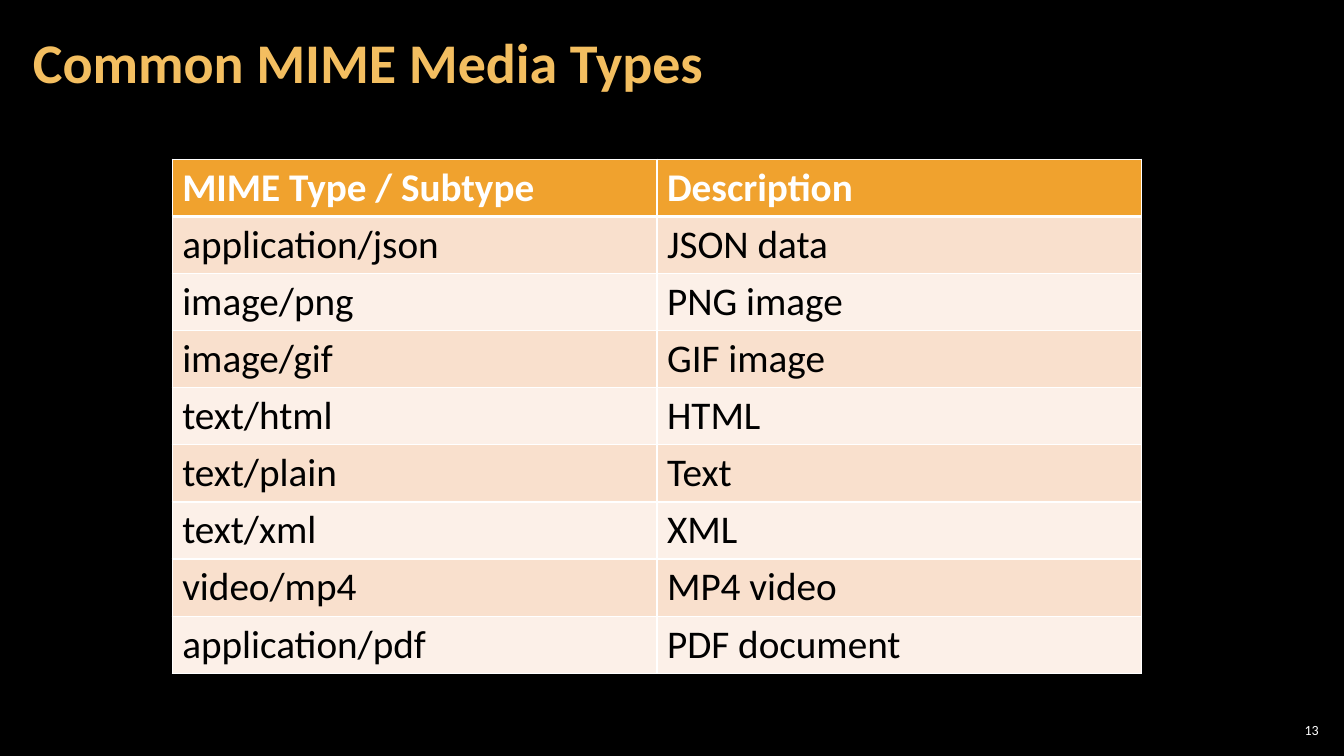
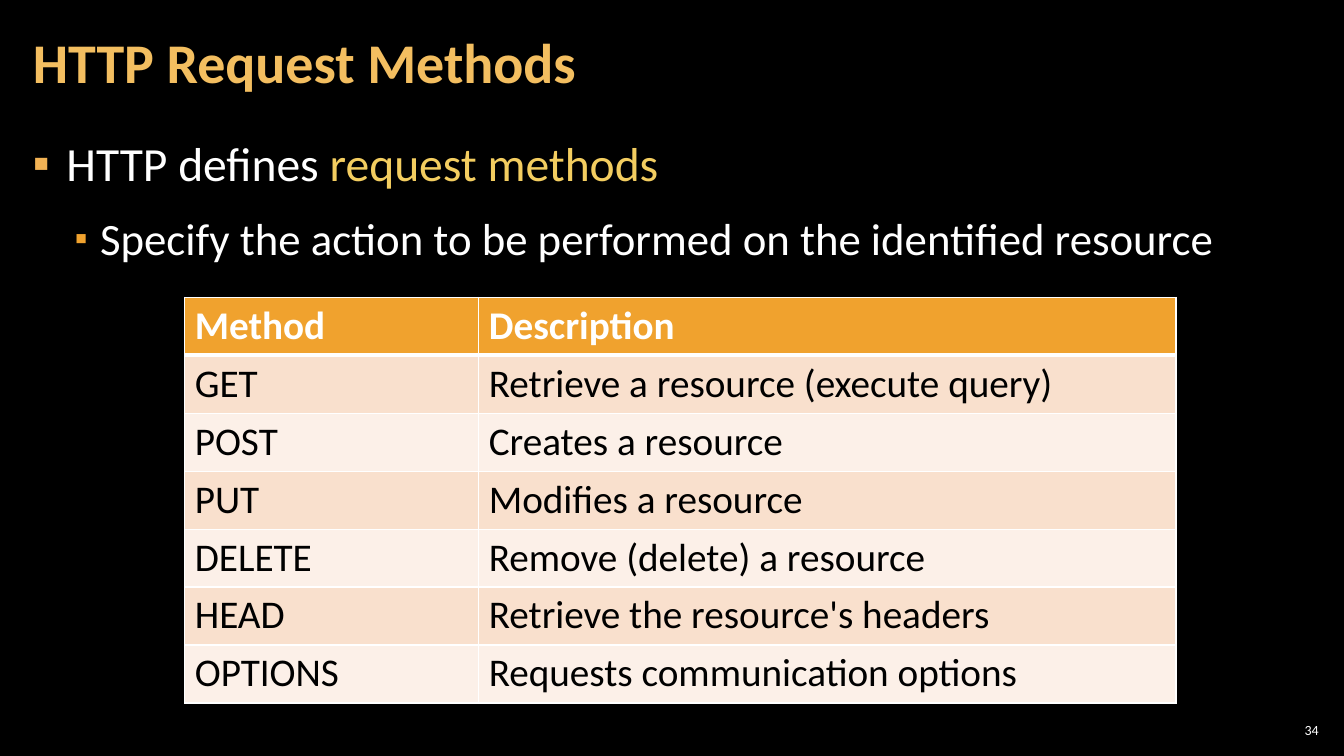
from lxml.etree import SubElement
from pptx import Presentation
from pptx.dml.color import RGBColor
from pptx.enum.text import MSO_ANCHOR, PP_ALIGN
from pptx.oxml.ns import qn
from pptx.util import Pt

BLACK = RGBColor(0x00, 0x00, 0x00)
WHITE = RGBColor(0xFF, 0xFF, 0xFF)
GOLD = RGBColor(0xF3, 0xBE, 0x60)
YELLOW = RGBColor(0xF3, 0xCD, 0x60)
AMBER = RGBColor(0xF2, 0xB2, 0x54)
ORANGE = RGBColor(0xF0, 0xA2, 0x2E)
BANDS = RGBColor(0xF9, 0xE0, 0xCD), RGBColor(0xFC, 0xF0, 0xE8)
FONT = "Calibri"
WIDTH, HEIGHT = 960, 540
LEFT = 15

TYPES = [
    ("MIME Type / Subtype", "Description"),
    ("application/json", "JSON data"),
    ("image/png", "PNG image"),
    ("image/gif", "GIF image"),
    ("text/html", "HTML"),
    ("text/plain", "Text"),
    ("text/xml", "XML"),
    ("video/mp4", "MP4 video"),
    ("application/pdf", "PDF document"),
]
METHODS = [
    ("Method", "Description"),
    ("GET", "Retrieve a resource (execute query)"),
    ("POST", "Creates a resource"),
    ("PUT", "Modifies a resource"),
    ("DELETE", "Remove (delete) a resource"),
    ("HEAD", "Retrieve the resource's headers"),
    ("OPTIONS", "Requests communication options"),
]


def write(para, text, size, color=WHITE, bold=False):
    run = para.add_run()
    run.text = text
    font = run.font
    font.name, font.size, font.bold = FONT, Pt(size), bold
    font.color.rgb = color


def add_box(slide, box, pad, anchor=MSO_ANCHOR.TOP):
    """Add a wrapping text box; pad is its side and top inset."""
    frame = slide.shapes.add_textbox(*map(Pt, box)).text_frame
    frame.word_wrap = True
    frame.vertical_anchor = anchor
    frame.margin_left = frame.margin_right = Pt(pad[0])
    frame.margin_top = frame.margin_bottom = Pt(pad[1])
    return frame


def add_slide(deck, title, number):
    """Add a slide with the shared background, title and page number."""
    slide = deck.slides.add_slide(deck.slide_layouts[6])
    fill = slide.background.fill
    fill.solid()
    fill.fore_color.rgb = BLACK
    frame = add_box(slide, (LEFT, 3, 754, 87), (8.5, 3), MSO_ANCHOR.MIDDLE)
    para = frame.paragraphs[0]
    para.line_spacing = 0.9
    write(para, title, 40, GOLD, True)
    frame = add_box(slide, (911, 514, 34, 15), (3, 3), MSO_ANCHOR.MIDDLE)
    para = frame.paragraphs[0]
    para.alignment = PP_ALIGN.RIGHT
    write(para, str(number), 10)
    return slide


def set_bullet(para, color, margin, hang, scale=100):
    props = para._p.get_or_add_pPr()
    props.set("marL", str(Pt(margin)))
    props.set("indent", str(-Pt(hang)))
    tint = SubElement(props, qn("a:buClr"))
    SubElement(tint, qn("a:srgbClr"), val=str(color))
    SubElement(props, qn("a:buSzPct"), val=str(scale * 1000))
    SubElement(props, qn("a:buFont"), typeface=FONT)
    SubElement(props, qn("a:buChar"), char="▪")


def add_body(slide, box):
    frame = add_box(slide, box, (8.5, 3))
    point = frame.paragraphs[0]
    set_bullet(point, AMBER, 24, 24)
    write(point, "HTTP defines ", 34)
    write(point, "request methods", 34, YELLOW)
    detail = frame.add_paragraph()
    detail.level = 1
    set_bullet(detail, ORANGE, 48, 18, 80)
    detail.space_before = Pt(6)
    write(detail, "Specify the action to be performed on the identified resource", 32)
    for para in frame.paragraphs:
        para.line_spacing = 1.05
        para.space_after = Pt(6)


def set_edges(cell, top, bottom):
    props = cell._tc.get_or_add_tcPr()
    for side, width in zip("LRTB", (1, 1, top, bottom)):
        line = SubElement(props, qn(f"a:ln{side}"), w=str(Pt(width)))
        fill = SubElement(line, qn("a:solidFill"))
        SubElement(fill, qn("a:srgbClr"), val=str(WHITE))


def add_grid(slide, spot, widths, step, data):
    """Add a banded table at spot whose rows are step high."""
    box = *spot, sum(widths), step * len(data)
    grid = slide.shapes.add_table(len(data), len(widths), *map(Pt, box)).table
    for col, width in zip(grid.columns, widths):
        col.width = Pt(width)
    for i, texts in enumerate(data):
        grid.rows[i].height = Pt(step)
        head = i == 0
        for j, text in enumerate(texts):
            cell = grid.cell(i, j)
            cell.margin_top = cell.margin_bottom = Pt(3.3)
            set_edges(cell, 3 if i == 1 else 1, 3 if head else 1)
            cell.fill.solid()
            cell.fill.fore_color.rgb = ORANGE if head else BANDS[(i - 1) % 2]
            write(cell.text_frame.paragraphs[0], text, 28,
                  WHITE if head else BLACK, head)


def main():
    deck = Presentation()
    deck.slide_width, deck.slide_height = Pt(WIDTH), Pt(HEIGHT)
    slide = add_slide(deck, "Common MIME Media Types", 13)
    add_grid(slide, (123, 113.8), (346.3, 346.3), 40.8, TYPES)
    slide = add_slide(deck, "HTTP Request Methods", 34)
    add_body(slide, (LEFT, 91, 930, 438))
    add_grid(slide, (132, 212.4), (210, 498), 41.4, METHODS)
    deck.save("out.pptx")


if __name__ == "__main__":
    main()
